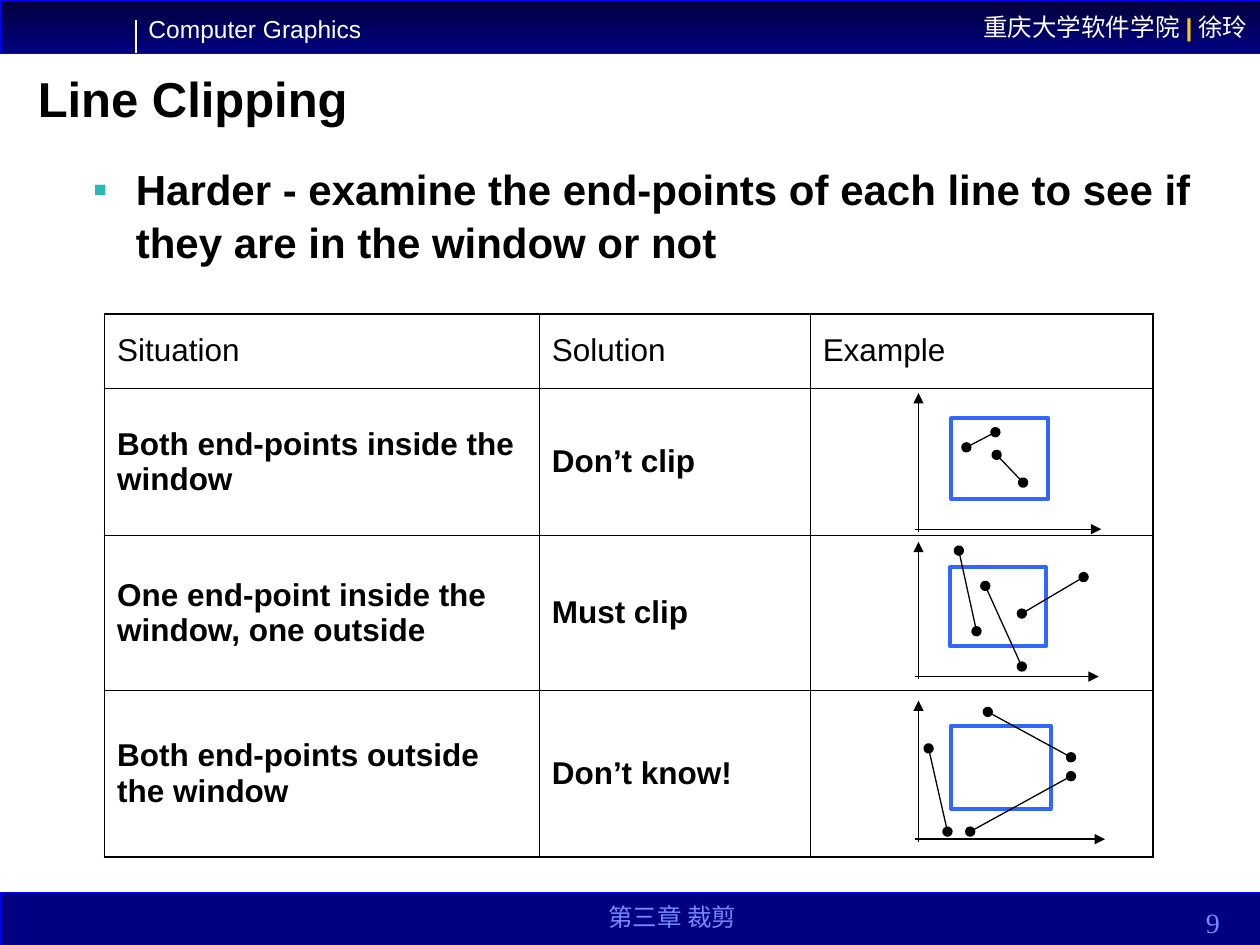
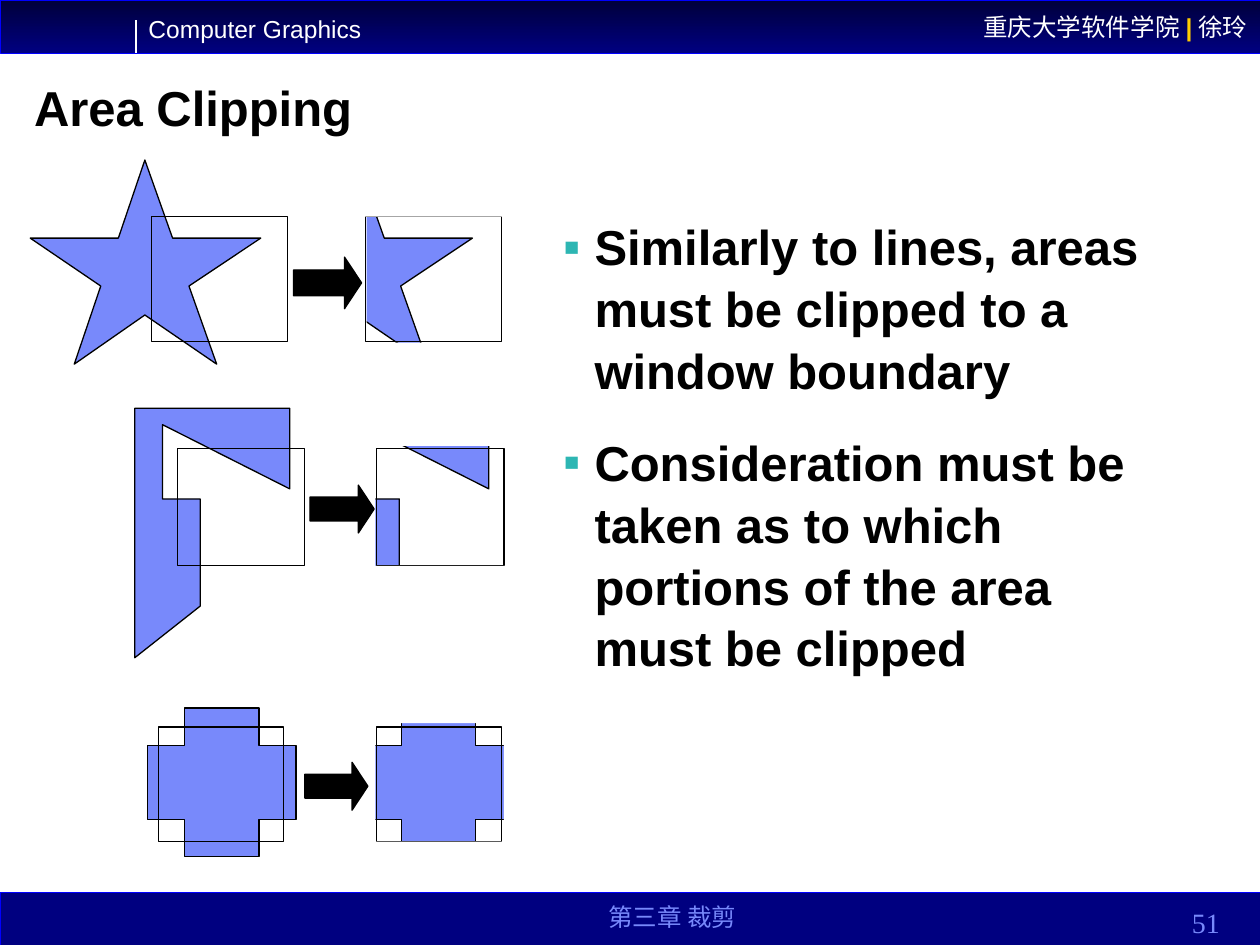
import lxml.etree
import pptx
import pptx.dml.color
import pptx.enum.shapes
import pptx.enum.text
import pptx.oxml.ns
import pptx.util

Inches = pptx.util.Inches
Pt = pptx.util.Pt
qn = pptx.oxml.ns.qn
SubElement = lxml.etree.SubElement
PRESET = pptx.enum.shapes.MSO_SHAPE
ALIGN = pptx.enum.text.PP_ALIGN
ANCHOR = pptx.enum.text.MSO_ANCHOR

BLACK, WHITE, NAVY, MIDNIGHT = "000000", "FFFFFF", "000080", "00003B"
BLUE, WINDOW_BLUE, LAVENDER = "0000FF", "3366FF", "7889FB"
TEAL, GOLD = "2DB6B3", "FFCC00"


def rgb(hex_colour):
    return pptx.dml.color.RGBColor.from_string(hex_colour)


def draw_line(shapes, start, end, colour, head=None, tail=None):
    segment = shapes.add_connector(pptx.enum.shapes.MSO_CONNECTOR.STRAIGHT, *map(Inches, start + end))
    segment.line.color.rgb = rgb(colour)
    segment.line.width = Pt(0.75)
    properties = segment.element.spPr
    outline = properties.find(qn("a:ln"))
    for tag, ending in (("a:headEnd", head), ("a:tailEnd", tail)):
        if ending:
            SubElement(outline, qn(tag), type=ending)
    SubElement(properties, qn("a:effectLst"))
    return segment


deck = pptx.Presentation()
deck.slide_width, deck.slide_height = Inches(10), Inches(7.5)
title_only = deck.slide_layouts[5]
line_slide = deck.slides.add_slide(title_only)
area_slide = deck.slides.add_slide(title_only)
styled = []

header = line_slide.shapes.add_shape(PRESET.RECTANGLE, 0, 0, Inches(10), Inches(0.42))
footer = line_slide.shapes.add_shape(PRESET.RECTANGLE, 0, Inches(7.08), Inches(10), Inches(0.42))
for band in (header, footer):
    band.shadow.inherit = False
    band.line.color.rgb = rgb(BLUE)
    band.line.width = Pt(0.25)
footer.fill.solid()
footer.fill.fore_color.rgb = rgb(NAVY)
header.fill.gradient()
header.fill.gradient_angle = 270
for stop, shade in zip(header.fill.gradient_stops, (MIDNIGHT, NAVY)):
    stop.color.rgb = rgb(shade)

header.text_frame.vertical_anchor = ANCHOR.MIDDLE
affiliation = header.text_frame.paragraphs[0]
affiliation.alignment = ALIGN.RIGHT
for words, colour, bold in (("重庆大学软件学院", WHITE, False), ("|", GOLD, True), ("徐玲", WHITE, False)):
    part = affiliation.add_run()
    part.text = words
    styled.append((part, "Arial", 14, colour, bold))

course = line_slide.shapes.add_textbox(Inches(1.08), Inches(0.06), Inches(1.89), Inches(0.34))
course.text_frame.word_wrap = False
course.text_frame.text = "Computer Graphics"
styled.append((course.text_frame.paragraphs[0].runs[0], "Arial", 14, WHITE, False))
divider = draw_line(line_slide.shapes, (1.08, 0.16), (1.08, 0.42), WHITE)
for shared in (header, footer, course, divider):
    title_only.shapes.element.append(shared.element)

pages = (
    (line_slide, "Line Clipping", (0.2, 0.52, 9.02, 0.55), "9",
     (0.51, 1.23, 9.07, 1.65), 24, 0.47, 0.34,
     ["Harder - examine the end-points of each line to see if they are in the window or not"]),
    (area_slide, "Area Clipping", (0.17, 0.6, 9.02, 0.54), "51",
     (4.37, 1.65, 4.89, 4.06), 28, 0.25, 0.25,
     ["Similarly to lines, areas must be clipped to a window boundary",
      "Consideration must be taken as to which portions of the area must be clipped"]),
)
for slide, heading, heading_box, number, body_box, body_size, margin, hanging, points in pages:
    title = slide.shapes.title
    title.left, title.top, title.width, title.height = map(Inches, heading_box)
    title.text_frame.text = heading
    title.text_frame.vertical_anchor = ANCHOR.BOTTOM
    title.text_frame.auto_size = pptx.enum.text.MSO_AUTO_SIZE.NONE
    heading_line = title.text_frame.paragraphs[0]
    heading_line.alignment = ALIGN.LEFT
    heading_line.line_spacing = 0.9
    styled.append((heading_line.runs[0], "Arial", 28, BLACK, True))

    for words, box, size, alignment in (
        ("第三章 裁剪", (3.75, 7.06, 3.17, 0.38), 14, ALIGN.CENTER),
        (number, (8.78, 7.12, 1, 0.38), 16, ALIGN.RIGHT),
    ):
        foot_note = slide.shapes.add_textbox(*map(Inches, box)).text_frame
        foot_note.word_wrap = True
        foot_note.vertical_anchor = ANCHOR.BOTTOM
        foot_note.text = words
        foot_note.paragraphs[0].alignment = alignment
        styled.append((foot_note.paragraphs[0].runs[0], "Times New Roman", size, LAVENDER, False))

    body = slide.shapes.add_textbox(*map(Inches, body_box)).text_frame
    body.word_wrap = True
    body.text = "\n".join(points)
    for index, point in enumerate(body.paragraphs):
        bullet = point._p.get_or_add_pPr()
        bullet.set("marL", str(Inches(margin)))
        bullet.set("indent", str(-Inches(hanging)))
        bullet_colour = SubElement(bullet, qn("a:buClr"))
        SubElement(bullet_colour, qn("a:srgbClr"), val=TEAL)
        SubElement(bullet, qn("a:buFont"), typeface="Arial")
        SubElement(bullet, qn("a:buChar"), char="▪")
        point.line_spacing = 1.05
        point.space_before = Pt(12.2 if index else 0)
        point.space_after = Pt(5.2)
        styled.append((point.runs[0], "Arial", body_size, BLACK, True))

cases = (
    ("Situation", "Solution", "Example"),
    ("Both end-points inside the window", "Don’t clip", ""),
    ("One end-point inside the window, one outside", "Must clip", ""),
    ("Both end-points outside the window", "Don’t know!", ""),
)
case_table = line_slide.shapes.add_table(
    4, 3, Inches(0.83), Inches(2.49), Inches(8.32), Inches(4.31)).table
case_table.first_row = False
case_table.horz_banding = False
for column, width in zip(case_table.columns, (3.45, 2.15, 2.72)):
    column.width = Inches(width)
for row, height in zip(case_table.rows, (0.59, 1.17, 1.23, 1.32)):
    row.height = Inches(height)
for r, case in enumerate(cases):
    for c, words in enumerate(case):
        cell = case_table.cell(r, c)
        cell.text_frame.text = words
        cell.vertical_anchor = ANCHOR.MIDDLE
        cell.fill.background()
        for run in cell.text_frame.paragraphs[0].runs:
            styled.append((run, "Arial", 18, BLACK, r > 0))
        cell_format = cell._tc.get_or_add_tcPr()
        sides = (("a:lnL", c == 0), ("a:lnR", c == 2), ("a:lnT", r == 0), ("a:lnB", r == 3))
        for position, (side, outer) in enumerate(sides):
            border = lxml.etree.Element(qn(side), w=str(Pt(1.08 if outer else 0.45)))
            border_fill = SubElement(border, qn("a:solidFill"))
            SubElement(border_fill, qn("a:srgbClr"), val=BLACK)
            cell_format.insert(position, border)

examples = (
    (4.2, 8.74, 3.12, (7.55, 3.32, 0.77, 0.64),
     [((7.67, 3.55), (7.9, 3.43)), ((7.91, 3.61), (8.12, 3.83))]),
    (5.37, 8.72, 4.3, (7.54, 4.5, 0.76, 0.63),
     [((8.11, 4.87), (8.6, 4.58)), ((7.82, 4.65), (8.11, 5.29)), ((7.61, 4.37), (7.75, 5.01))]),
    (6.66, 8.77, 5.56, (7.55, 5.76, 0.79, 0.66),
     [((7.84, 5.65), (8.5, 6.01)), ((7.7, 6.6), (8.5, 6.16)), ((7.37, 5.94), (7.52, 6.6))]),
)
for base, right_end, top_end, window_box, segments in examples:
    draw_line(line_slide.shapes, (7.26, base), (right_end, base), BLACK, tail="triangle")
    draw_line(line_slide.shapes, (7.29, base + 0.02), (7.29, top_end), BLACK, tail="triangle")
    window = line_slide.shapes.add_shape(PRESET.RECTANGLE, *map(Inches, window_box))
    window.shadow.inherit = False
    window.fill.background()
    window.line.color.rgb = rgb(WINDOW_BLUE)
    window.line.width = Pt(2.25)
    for start, end in segments:
        draw_line(line_slide.shapes, start, end, BLACK, "oval", "oval")

star = [(0.24, 1.89), (0.94, 1.89), (1.15, 1.27), (1.37, 1.89), (2.07, 1.89),
        (1.5, 2.27), (1.72, 2.89), (1.15, 2.5), (0.59, 2.89), (0.8, 2.27)]
hook = [(1.07, 5.22), (1.07, 3.24), (2.3, 3.24), (2.3, 3.88), (1.29, 3.37),
        (1.29, 3.96), (1.59, 3.96), (1.59, 4.81)]
cross = (1.17, 5.62, 1.18, 1.18)
clippings = (
    (star, 1.68, (1.2, 1.72, 1.08, 0.99), 1.7, (2.33, 2.04, 0.54, 0.41),
     [(1.86, 1.31, 1.05, 2.24), (2.54, 1.25, 1.46, 0.47), (2.55, 2.72, 1.46, 0.52)]),
    (cross, 1.72, (1.26, 5.77, 0.99, 0.91), 1.73, (2.42, 6.05, 0.5, 0.38),
     [(2.55, 5.39, 0.43, 1.54), (2.64, 5.48, 1.34, 0.26), (2.66, 6.68, 1.34, 0.3),
      (4, 5.35, 0.43, 1.6)]),
    (hook, 1.58, (1.41, 3.56, 1.01, 0.93), 1.58, (2.46, 3.85, 0.51, 0.38),
     [(2.54, 3.18, 0.44, 2.09), (2.63, 3.1, 1.37, 0.44), (2.66, 4.49, 1.36, 0.49)]),
)
for area, area_shift, (left, top, width, height), window_shift, arrow, covers in clippings:
    clipped_window = (left + window_shift, top, width, height)
    steps = [(area, area_shift, LAVENDER, BLACK), (covers[0], 0, WHITE, None),
             (area, 0, LAVENDER, BLACK), ((left, top, width, height), 0, None, BLACK),
             (clipped_window, 0, None, BLACK)]
    steps += [(cover, 0, WHITE, None) for cover in covers[1:]]
    steps.append((arrow, 0, BLACK, BLACK))
    for outline, shift, fill, stroke in steps:
        if isinstance(outline, list):
            corners = [(round((x + shift) * 100), round(y * 100)) for x, y in outline]
            builder = area_slide.shapes.build_freeform(*corners[0], scale=Inches(0.01))
            builder.add_line_segments(corners[1:], close=True)
            figure = builder.convert_to_shape()
        else:
            preset = {cross: PRESET.CROSS, arrow: PRESET.RIGHT_ARROW}.get(outline, PRESET.RECTANGLE)
            x, y, w, h = outline
            figure = area_slide.shapes.add_shape(preset, *map(Inches, (x + shift, y, w, h)))
            if preset == PRESET.CROSS:
                figure.adjustments[0] = 0.25
            elif preset == PRESET.RIGHT_ARROW:
                figure.adjustments[1] = 0.33
        figure.shadow.inherit = False
        if fill:
            figure.fill.solid()
            figure.fill.fore_color.rgb = rgb(fill)
        else:
            figure.fill.background()
        if stroke:
            figure.line.color.rgb = rgb(stroke)
            figure.line.width = Pt(0.75)
        else:
            figure.line.fill.background()

for run, typeface, size, colour, bold in styled:
    run.font.name = typeface
    run.font.size = Pt(size)
    run.font.bold = bold
    run.font.color.rgb = rgb(colour)

deck.save("out.pptx")
